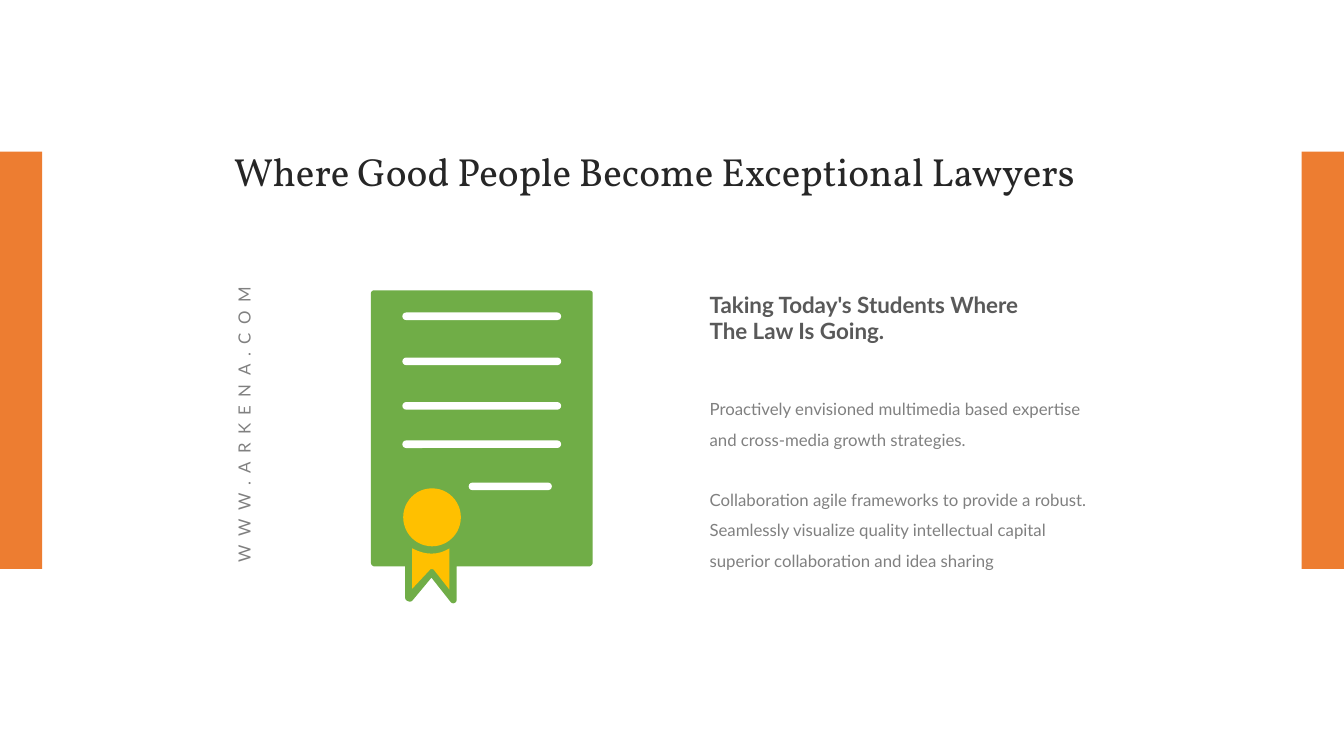
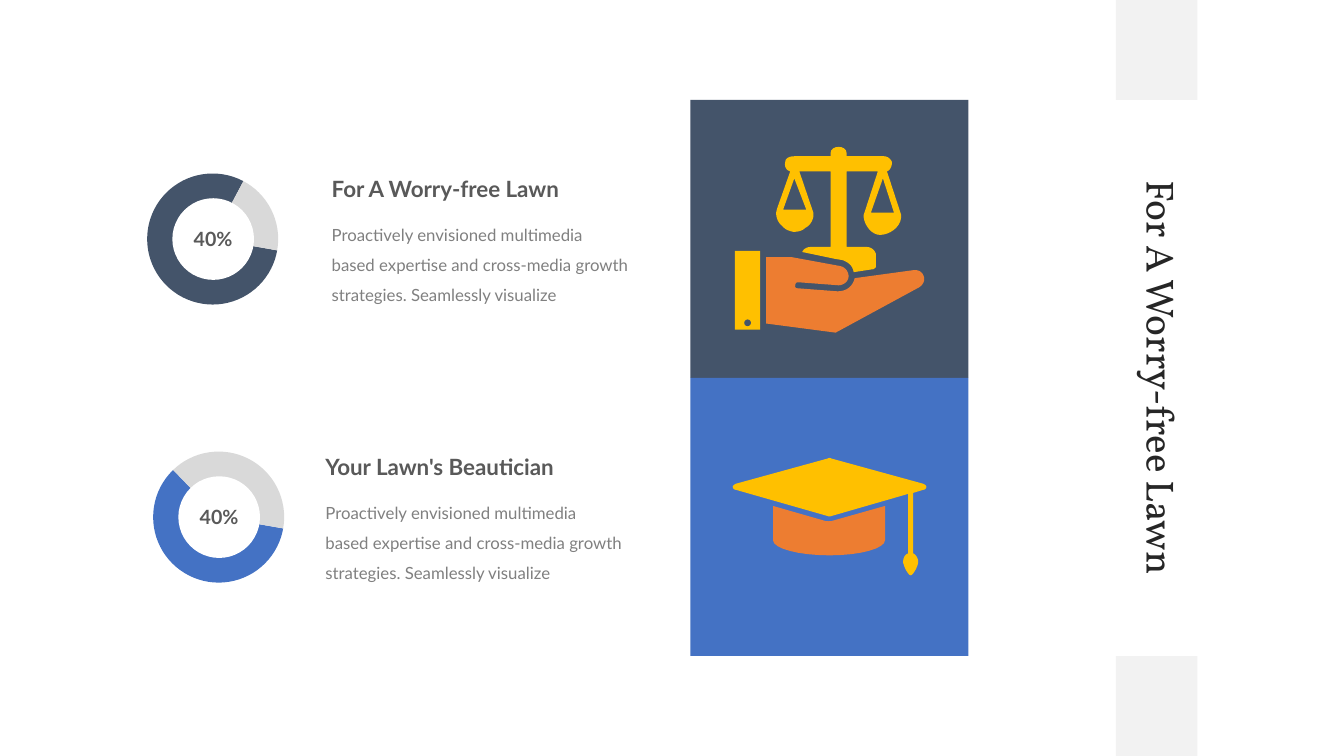
import pptx
import pptx.util
import pptx.dml.color
import pptx.chart.data
import pptx.enum.chart
import pptx.enum.shapes
import pptx.enum.text
import pptx.oxml

Pt = pptx.util.Pt
rgb = pptx.dml.color.RGBColor.from_string
PRESET = pptx.enum.shapes.MSO_SHAPE
ALIGN = pptx.enum.text.PP_ALIGN
ANCHOR = pptx.enum.text.MSO_ANCHOR

# Shared look
WIDTH, HEIGHT = 960, 540
WHITE, PALE, SILVER = "FFFFFF", "F2F2F2", "D9D9D9"
ORANGE, GREEN, GOLD, NAVY, BLUE = "ED7D31", "70AD47", "FFC000", "44546A", "4472C4"
TITLE = ("262626", {"name": "Vollkorn", "size": Pt(28), "bold": False})
HEADING = ("595959", {"name": "Lato", "size": Pt(16), "bold": True})
PERCENT = ("595959", {"name": "Lato", "size": Pt(14), "bold": True})
BODY = ("808080", {"name": "Lato", "size": Pt(12), "bold": False})
TITLE_LEADING = Pt(30)
CURVE_STEPS = 8
UNITS = 100  # freeform units in a point


def draw(slide, form, color, box=None):
    """Draw a preset in a box, or contours of points (x, y) and cubic curves (6 numbers)."""
    if box:
        shape = slide.shapes.add_shape(form, *map(Pt, box))
    else:
        builder = None
        for contour in form:
            points = []
            for step in contour:
                if len(step) == 2:
                    points.append(step)
                    continue
                x0, y0 = points[-1]
                x1, y1, x2, y2, x3, y3 = step
                for i in range(1, CURVE_STEPS + 1):
                    t = i / CURVE_STEPS
                    a, b, c, d = (1 - t) ** 3, 3 * t * (1 - t) ** 2, 3 * t * t * (1 - t), t ** 3
                    points.append((a * x0 + b * x1 + c * x2 + d * x3,
                                   a * y0 + b * y1 + c * y2 + d * y3))
            points = [(x * UNITS, y * UNITS) for x, y in points]
            if builder is None:
                builder = slide.shapes.build_freeform(*points[0], scale=Pt(1) / UNITS)
            else:
                builder.move_to(*points[0])
            builder.add_line_segments(points[1:], close=True)
        shape = builder.convert_to_shape()
    shape.shadow.inherit = False
    shape.fill.solid()
    shape.fill.fore_color.rgb = rgb(color)
    shape.line.fill.background()
    return shape


def write(shape, box, lines, style, leading=None, align=ALIGN.LEFT, anchor=ANCHOR.TOP):
    """Move a text shape to its box and fill it, one paragraph a line."""
    shape.left, shape.top, shape.width, shape.height = map(Pt, box)
    frame = shape.text_frame
    frame_format = {"margin_left": 0, "margin_top": 0, "margin_right": 0, "margin_bottom": 0,
                    "word_wrap": True, "vertical_anchor": anchor,
                    "auto_size": pptx.enum.text.MSO_AUTO_SIZE.NONE}
    for name, value in frame_format.items():
        setattr(frame, name, value)
    color, font_format = style
    for i, line in enumerate(lines):
        paragraph = frame.add_paragraph() if i else frame.paragraphs[0]
        paragraph.alignment = align
        if leading:
            paragraph.line_spacing = leading
        run = paragraph.add_run()
        run.text = line
        run.font.color.rgb = rgb(color)
        for name, value in font_format.items():
            setattr(run.font, name, value)
    return frame


deck = pptx.Presentation()
deck.slide_width, deck.slide_height = Pt(WIDTH), Pt(HEIGHT)
title_only = deck.slide_layouts[5]

# Slide 1: title, lead and text
lawyers = deck.slides.add_slide(title_only)
write(lawyers.shapes.title, (167, 108.7, 625.7, 30.2),
      ["Where Good People Become Exceptional Lawyers"],
      TITLE, TITLE_LEADING, anchor=ANCHOR.MIDDLE)
strategy = write(lawyers.shapes.add_textbox(0, 0, 0, 0), (506.9, 277.9, 285.8, 128.2), [
    "Proactively envisioned multimedia based expertise and cross-media growth strategies.",
    "Collaboration agile frameworks to provide a robust. "
    "Seamlessly visualize quality intellectual capital",
    "superior collaboration and idea sharing",
], BODY, 1.5)
strategy.paragraphs[1].space_before = Pt(21.6)
write(lawyers.shapes.add_textbox(0, 0, 0, 0), (506.9, 207.4, 285.8, 38.9),
      ["Taking Today's Students Where", "The Law Is Going."], HEADING, anchor=ANCHOR.MIDDLE)

# Certificate sheet with its ribbon edge
draw(lawyers, [[
    (420.5, 207.4), (267.1, 207.4), (266, 207.4, 265, 208.5, 265, 209.5),
    (265, 401.8), (265, 403.2, 266, 404.6, 267.8, 404.6), (289.4, 404.6),
    (289.4, 427), (289.4, 429.1, 293, 430.6, 294.5, 429.1), (308.2, 412.6),
    (321.8, 429.8), (323.3, 432, 326.2, 430.6, 326.2, 428.4), (326.2, 404.6),
    (420.5, 404.6), (422, 404.6, 423.4, 403.2, 423.4, 401.8),
    (423.4, 209.5), (423.4, 208, 422, 207.4, 420.5, 207.4),
]], GREEN)

# Written lines, then seal and ribbon
for left, top, width in [(287.4, 223.2, 113.4), (287.4, 255.4, 113.4), (287.4, 287.2, 113.4),
                         (287.4, 314.6, 113.4), (334.8, 344.7, 59.4)]:
    draw(lawyers, PRESET.ROUNDED_RECTANGLE, WHITE, (left, top, width, 5.4)).adjustments[0] = 0.5
draw(lawyers, PRESET.OVAL, GOLD, (288, 348.8, 41.2, 41.4))
draw(lawyers, [[
    (321.1, 391.7), (321.1, 421.2), (310.3, 407.5), (309.6, 406.1, 307.4, 406.1, 306.7, 407.5),
    (294.5, 420.5), (294.5, 391.7), (303.8, 396.7, 313.2, 396.7, 321.1, 391.7),
]], GOLD)

# Upright web address and side bars
address = lawyers.shapes.add_textbox(0, 0, 0, 0)
address_frame = write(address, (54, 274.3, 240.5, 14.4), ["WWW.ARKENA.COM"], BODY)
address_frame.paragraphs[0].runs[0].font._element.set("spc", "600")
address.rotation = 270
BAR_WIDTH = 30.2
for left in (0, WIDTH - BAR_WIDTH):
    draw(lawyers, PRESET.RECTANGLE, ORANGE, (left, 108.3, BAR_WIDTH, 298))

# Slide 2: upright title between two bands
lawn = deck.slides.add_slide(title_only)
write(lawn.shapes.title, (632.2, 254.2, 392.4, 31), ["For A Worry-free Lawn"],
      TITLE, TITLE_LEADING, ALIGN.CENTER, ANCHOR.MIDDLE)
lawn.shapes.title.rotation = 90
BAND_HEIGHT = 71.3
for top in (0, HEIGHT - BAND_HEIGHT):
    draw(lawn, PRESET.RECTANGLE, PALE, (797, top, 58.3, BAND_HEIGHT))

# Each row: pie with a white core, percentage, heading, text and coloured square
ROW_STEP = 198.6
PIE_SIZE, CORE_SIZE = 94.3, 58.3
LAYOUT = ('<c:layout xmlns:c="http://schemas.openxmlformats.org/drawingml/2006/chart">'
          '<c:manualLayout><c:layoutTarget val="inner"/><c:xMode val="edge"/>'
          '<c:yMode val="edge"/><c:x val="0"/><c:y val="0.001"/><c:w val="0.993"/>'
          '<c:h val="0.999"/></c:manualLayout></c:layout>')
START_ANGLE = ('<c:firstSliceAng xmlns:c="http://schemas.openxmlformats.org/drawingml/2006/chart"'
               ' val="100"/>')
rows = [("For A Worry-free Lawn", NAVY, (80, 20), 105.1, 236.9),
        ("Your Lawn's Beautician", BLUE, (60, 40), 109.4, 232.4)]
for i, (heading, color, shares, pie_left, text_left) in enumerate(rows):
    drop = i * ROW_STEP
    pie_top = 123.6 + drop
    draw(lawn, PRESET.RECTANGLE, color, (493.2, BAND_HEIGHT + drop, ROW_STEP, ROW_STEP))

    data = pptx.chart.data.CategoryChartData()
    data.categories = ["1", "2"]
    data.add_series("Series 1", shares)
    pie = lawn.shapes.add_chart(pptx.enum.chart.XL_CHART_TYPE.PIE, Pt(pie_left), Pt(pie_top),
                                Pt(PIE_SIZE), Pt(PIE_SIZE), data).chart
    pie.has_title = pie.has_legend = False
    pie.font.name, pie.font.size, pie.font.color.rgb = "Calibri", Pt(10), rgb("000000")
    plot = pie.plots[0]
    plot.vary_by_categories = True
    for number, slice_color in enumerate((color, SILVER)):
        slice_fill = plot.series[0].points[number].format.fill
        slice_fill.solid()
        slice_fill.fore_color.rgb = rgb(slice_color)
    plot_xml = plot._element
    area_xml = plot_xml.getparent()
    for parent, tag in ((area_xml, "layout"), (plot_xml, "firstSliceAng")):
        for old in parent.findall("{*}" + tag):
            parent.remove(old)
    area_xml.insert(0, pptx.oxml.parse_xml(LAYOUT))
    plot_xml.append(pptx.oxml.parse_xml(START_ANGLE))

    inset = (PIE_SIZE - CORE_SIZE) / 2
    draw(lawn, PRESET.OVAL, WHITE, (pie_left + inset, pie_top + inset, CORE_SIZE, CORE_SIZE))
    write(lawn.shapes.add_textbox(0, 0, 0, 0), (pie_left + 33.1, pie_top + 38.4, 28.1, 17.3),
          ["40%"], PERCENT, align=ALIGN.CENTER).word_wrap = False
    write(lawn.shapes.add_textbox(0, 0, 0, 0), (text_left, 125.4 + drop, 212.4, 19.4),
          [heading], HEADING)
    write(lawn.shapes.add_textbox(0, 0, 0, 0), (text_left, 153.1 + drop, 212.4, 63.4),
          ["Proactively envisioned multimedia based expertise and cross-media growth "
           "strategies. Seamlessly visualize"], BODY, 1.5)

# Open hand with a buttoned cuff
draw(lawn, [[
    (660.2, 199.4), (660.2, 201.6, 658.8, 203.8, 656.6, 205.2), (596.9, 237.6),
    (547.2, 231.1), (547.2, 183.6), (565.2, 183.6), (600.5, 190.1),
    (603.4, 190.8, 606.2, 193.7, 606.2, 197.3), (606.2, 200.9, 602.6, 203.8, 599, 203.8),
    (570.2, 201.6), (568.8, 201.6, 568.1, 202.3, 568.1, 203.8),
    (567.4, 205.2, 568.8, 205.9, 569.5, 205.9), (598.3, 208.1),
    (604.8, 208.1, 609.1, 204.5, 610.6, 198.7), (652.3, 193),
    (657.4, 192.2, 660.2, 195.8, 660.2, 199.4),
]], ORANGE)
draw(lawn, PRESET.RECTANGLE, GOLD, (524.9, 179.2, 18, 56.2))
draw(lawn, PRESET.OVAL, NAVY, (531.6, 228.2, 4.8, 4.8))

# Scales: outline, then the openings above the left and right pans
draw(lawn, [[
    (643.7, 153.4), (633.6, 122.4), (635.8, 121.7, 637.2, 118.8, 637.2, 115.9),
    (636.5, 113.8, 634.3, 111.6, 631.4, 111.6), (604.8, 111.6), (604.8, 109.4),
    (604.8, 103.4, 593.3, 103.4, 593.3, 109.4), (593.3, 111.6), (567.4, 111.6),
    (563.8, 111.6, 560.9, 113, 560.9, 115.9), (560.2, 118.8, 561.6, 121.7, 564.5, 122.4),
    (555.1, 149), (554.4, 151.9), (554.4, 155.5, 555.8, 159.1, 558.7, 161.3),
    (560.9, 164.2, 563.8, 164.9, 566.6, 165.6), (570.2, 165.6, 573.1, 164.9, 575.3, 162.7),
    (578.2, 161.3, 580.3, 158.4, 581, 154.8), (581, 151.9), (580.3, 149.8), (571, 122.4),
    (593.3, 122.4), (593.3, 176.4), (578.9, 176.4), (576.7, 176.4, 573.8, 177.8, 573.1, 180),
    (596.9, 185), (601.9, 185.8), (605.5, 187.2, 609.1, 189.4, 609.8, 194.4),
    (624.2, 192.2), (625.7, 190.8), (625.7, 181.4), (625, 178.6, 622.1, 176.4, 619.2, 176.4),
    (604.8, 176.4), (604.8, 122.4), (627.1, 122.4), (617, 153.4), (617, 155.5),
    (617.8, 161.3, 622.8, 167.8, 628.6, 167.8), (635, 167.8, 643, 162.7, 643.7, 155.5),
], [(576, 149.8), (559.4, 149.8), (567.4, 127.4)],
   [(638.6, 151.9), (622.1, 151.9), (630.7, 127.4)]], GOLD)

# Graduation cap: base, then board with tassel
draw(lawn, [[
    (632.2, 361.4), (594, 372.2), (592.6, 372.4, 591.4, 372.4, 589.7, 372.2),
    (552.2, 361.4), (552.2, 385.9), (552.2, 391.7, 570.2, 396.7, 592.6, 396.7),
    (614.9, 396.7, 632.2, 391.7, 632.2, 385.9),
]], ORANGE)
draw(lawn, [[
    (661.7, 347.8), (661.7, 348.5, 661, 349.9, 659.5, 349.9), (652.3, 352.1), (652.3, 395.3),
    (653.8, 396, 655.9, 398.2, 655.9, 401.8), (655.2, 405.4, 653, 409, 651.6, 410.4),
    (650.9, 411.1, 650.2, 411.1, 649.4, 410.4), (647.3, 408.2, 645.8, 404.6, 645.1, 401.8),
    (645.1, 398.2, 646.6, 396, 648.7, 395.3), (648.7, 352.8), (594, 368.6),
    (593, 369, 592, 369, 591.1, 368.6), (525.6, 349.9),
    (524.2, 349.9, 523.4, 348.5, 523.4, 347.8), (523.4, 347, 524.2, 346.3, 525.6, 345.6),
    (591.1, 327.6), (592, 327, 593, 327, 594, 327.6), (659.5, 345.6),
    (661, 346.3, 661.7, 347, 661.7, 347.8),
]], GOLD)

deck.save("out.pptx")
